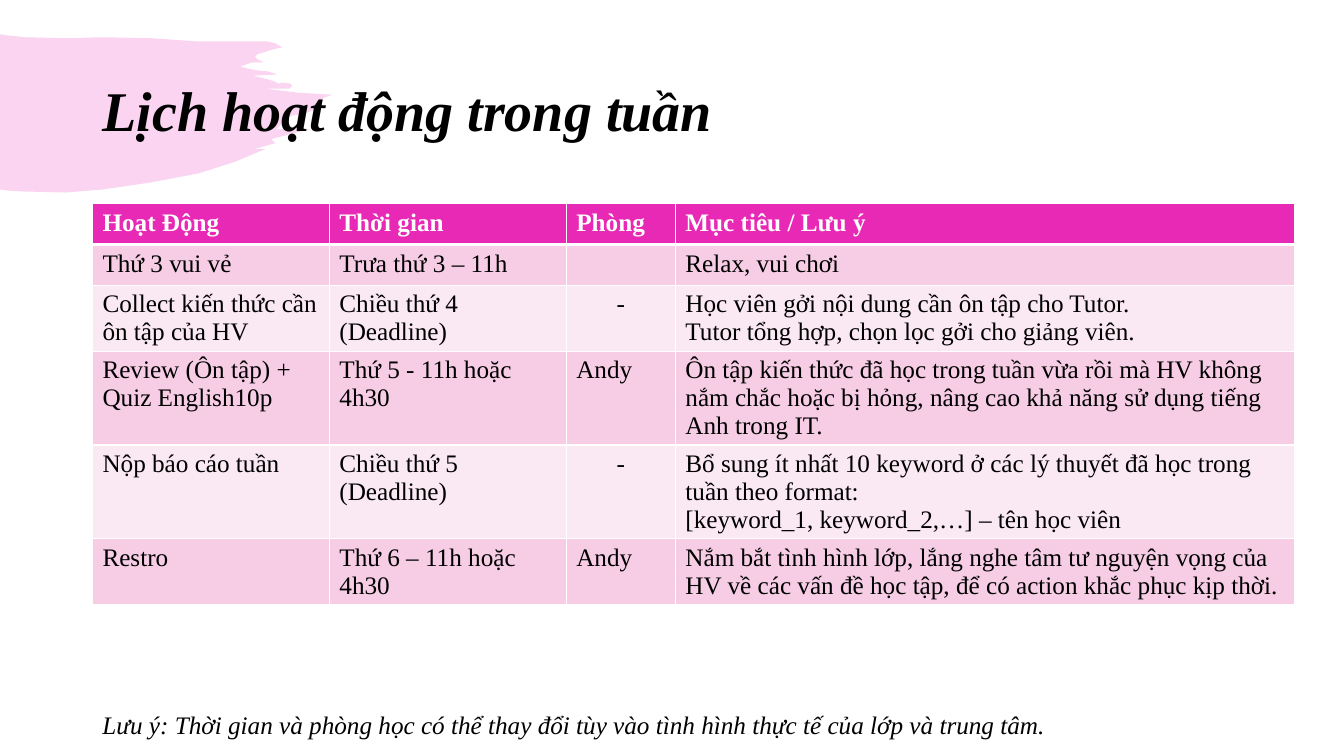
from lxml.etree import SubElement
from pptx import Presentation
from pptx.dml.color import RGBColor
from pptx.enum.text import MSO_ANCHOR as Anchor, PP_ALIGN as Align
from pptx.oxml.ns import qn
from pptx.util import Cm, Pt

FONT = "Times New Roman"
PINK, ROSE, BLUSH = "E729B5", "F6CDE5", "FAE8F3"
BLACK, WHITE = "000000", "FFFFFF"
LEFT = Cm(2.33)

# Outline of the brush stroke, in hundredths of an inch
BRUSH = [
    (0, 34), (6, 35), (25, 37), (66, 38), (102, 37), (151, 38), (194, 41),
    (248, 41), (264, 41), (273, 43), (280, 47), (271, 49), (255, 54),
    (253, 57), (256, 59), (262, 62), (250, 62), (238, 66), (246, 68),
    (256, 70), (266, 71), (275, 74), (251, 75), (263, 78), (273, 81),
    (276, 83), (280, 82), (288, 83), (290, 85), (287, 88), (284, 88),
    (263, 88), (296, 92), (330, 94), (321, 97), (318, 106), (307, 111),
    (300, 113), (283, 116), (280, 120), (278, 125), (274, 128), (308, 128),
    (269, 138), (273, 142), (252, 148), (263, 148), (232, 161), (197, 172),
    (150, 181), (102, 188), (65, 191), (23, 190), (7, 189), (0, 188),
]

COLUMN_WIDTHS = [5.97, 5.97, 2.75, 15.61]
ROW_HEIGHTS = [1.03, 1.03, 1.64, 2.36, 2.36, 1.64]
SCHEDULE = [
    ["Hoạt Động", "Thời gian", "Phòng", "Mục tiêu / Lưu ý"],
    ["Thứ 3 vui vẻ", "Trưa thứ 3 – 11h", "", "Relax, vui chơi"],
    ["Collect kiến thức cần ôn tập của HV", "Chiều thứ 4 (Deadline)", "-",
     "Học viên gởi nội dung cần ôn tập cho Tutor.\n"
     "Tutor tổng hợp, chọn lọc gởi cho giảng viên."],
    ["Review (Ôn tập) + Quiz English10p", "Thứ 5 - 11h hoặc 4h30", "Andy",
     "Ôn tập kiến thức đã học trong tuần vừa rồi mà HV không nắm chắc hoặc "
     "bị hỏng, nâng cao khả năng sử dụng tiếng Anh trong IT."],
    ["Nộp báo cáo tuần", "Chiều thứ 5\n(Deadline)", "-",
     "Bổ sung ít nhất 10 keyword ở các lý thuyết đã học trong tuần theo "
     "format:\v[keyword_1, keyword_2,…] – tên học viên"],
    ["Restro", "Thứ 6 – 11h hoặc 4h30", "Andy",
     "Nắm bắt tình hình lớp, lắng nghe tâm tư nguyện vọng của HV về các vấn "
     "đề học tập, để có action khắc phục kịp thời."],
]


def paint(target, color):
    """Give a fill a solid colour."""
    target.fill.solid()
    target.fill.fore_color.rgb = RGBColor.from_string(color)


def write(text_frame, text, size=18, color=BLACK, bold=False, italic=False,
          align=Align.LEFT):
    text_frame.text = text
    for paragraph in text_frame.paragraphs:
        paragraph.alignment = align
        font = paragraph.font
        font.name, font.size = FONT, Pt(size)
        font.bold, font.italic = bold, italic
        font.color.rgb = RGBColor.from_string(color)


def add_brush(slide):
    builder = slide.shapes.build_freeform(*BRUSH[0], scale=Cm(0.0254))
    builder.add_line_segments(BRUSH[1:], close=True)
    shape = builder.convert_to_shape()
    shape.shadow.inherit = False
    shape.line.fill.background()
    paint(shape, PINK)
    color = shape.fill._xPr.find(qn("a:solidFill"))[0]
    SubElement(color, qn("a:alpha"), val="20000")
    # Keep the stroke behind the title
    slide.shapes._spTree.insert(2, shape._element)


def add_title(slide, text):
    title = slide.shapes.title
    title.left, title.top = LEFT, Cm(1.01)
    title.width, title.height = Cm(29.21), Cm(3.68)
    title.text_frame.vertical_anchor = Anchor.MIDDLE
    write(title.text_frame, text, size=40, bold=True, italic=True)
    title.text_frame.paragraphs[0].line_spacing = 0.9


def add_borders(cell, top, bottom):
    properties = cell._tc.get_or_add_tcPr()
    for side, width in (("L", 1), ("R", 1), ("T", top), ("B", bottom)):
        line = SubElement(properties, qn(f"a:ln{side}"), w=str(Pt(width)))
        fill = SubElement(line, qn("a:solidFill"))
        SubElement(fill, qn("a:srgbClr"), val=WHITE)


def add_schedule(slide):
    table = slide.shapes.add_table(
        len(SCHEDULE), len(COLUMN_WIDTHS), LEFT, Cm(5.13),
        Cm(sum(COLUMN_WIDTHS)), Cm(sum(ROW_HEIGHTS))).table
    for column, width in zip(table.columns, COLUMN_WIDTHS):
        column.width = Cm(width)
    for index, (row, height, texts) in enumerate(
            zip(table.rows, ROW_HEIGHTS, SCHEDULE)):
        row.height = Cm(height)
        header = index == 0
        color = PINK if header else ROSE if index % 2 else BLUSH
        for cell, text in zip(row.cells, texts):
            add_borders(cell, top=3 if index == 1 else 1,
                        bottom=3 if header else 1)
            paint(cell, color)
            write(cell.text_frame, text, bold=header,
                  color=WHITE if header else BLACK,
                  align=Align.CENTER if text == "-" else Align.LEFT)


def add_note(slide, text):
    box = slide.shapes.add_textbox(LEFT, Cm(17.75), Cm(28.8), Cm(1.03))
    box.text_frame.word_wrap = True
    write(box.text_frame, text, italic=True)


def main():
    presentation = Presentation()
    presentation.slide_width, presentation.slide_height = Cm(33.87), Cm(19.05)
    slide = presentation.slides.add_slide(presentation.slide_layouts[5])
    add_brush(slide)
    add_title(slide, "Lịch hoạt động trong tuần")
    add_schedule(slide)
    add_note(slide, "Lưu ý: Thời gian và phòng học có thể thay đổi tùy vào "
                    "tình hình thực tế của lớp và trung tâm.")
    presentation.save("out.pptx")


if __name__ == "__main__":
    main()
